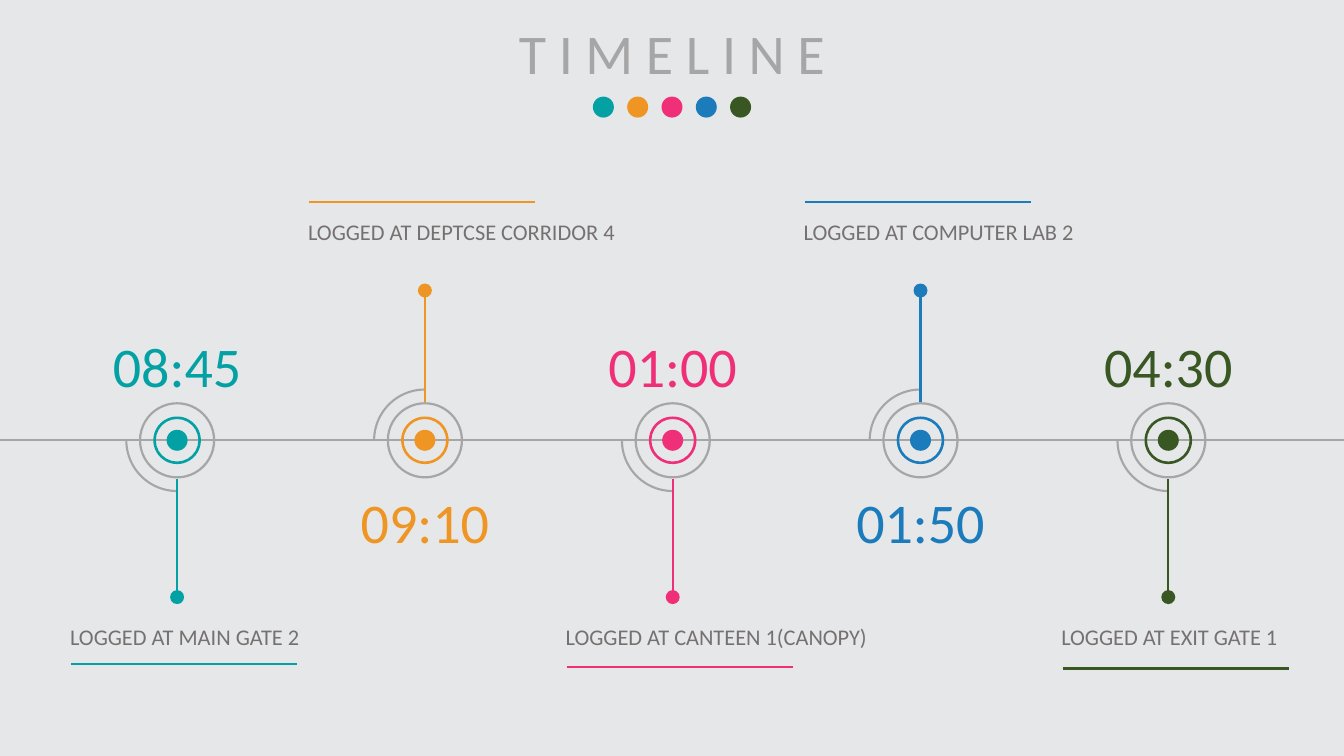
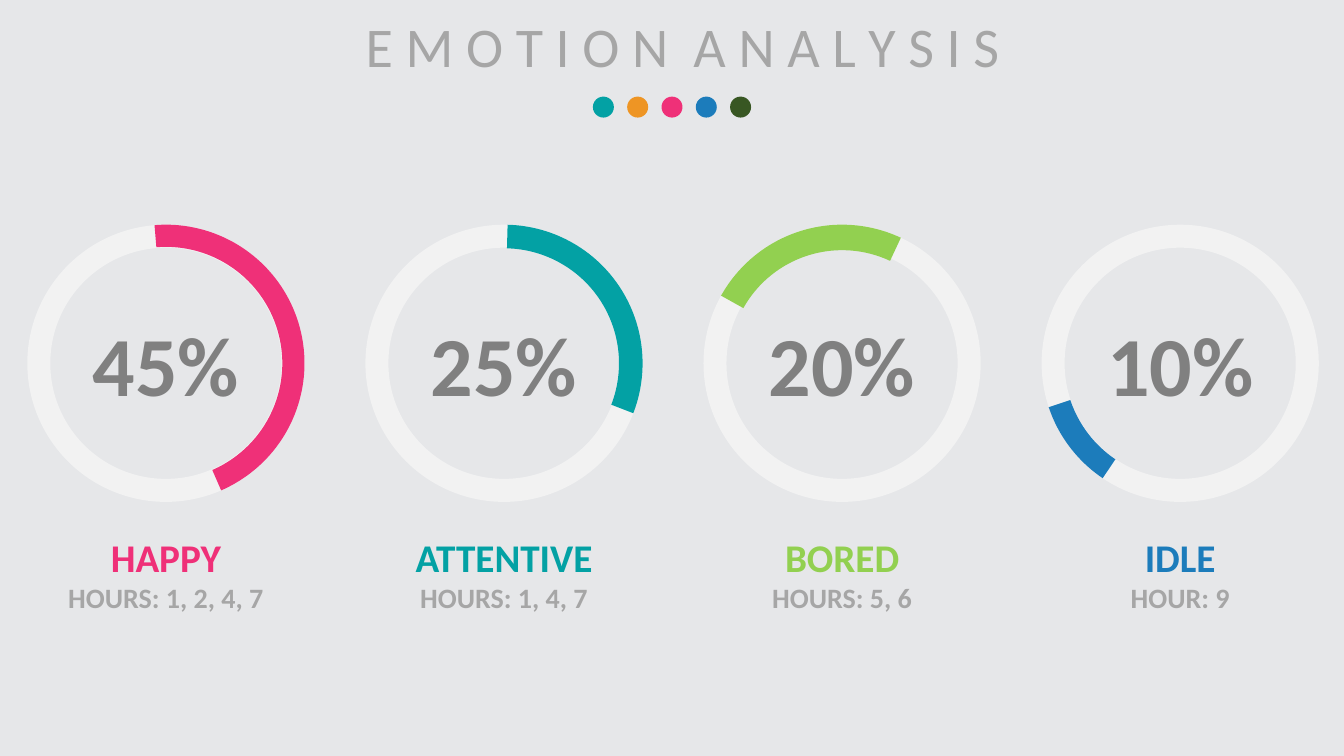
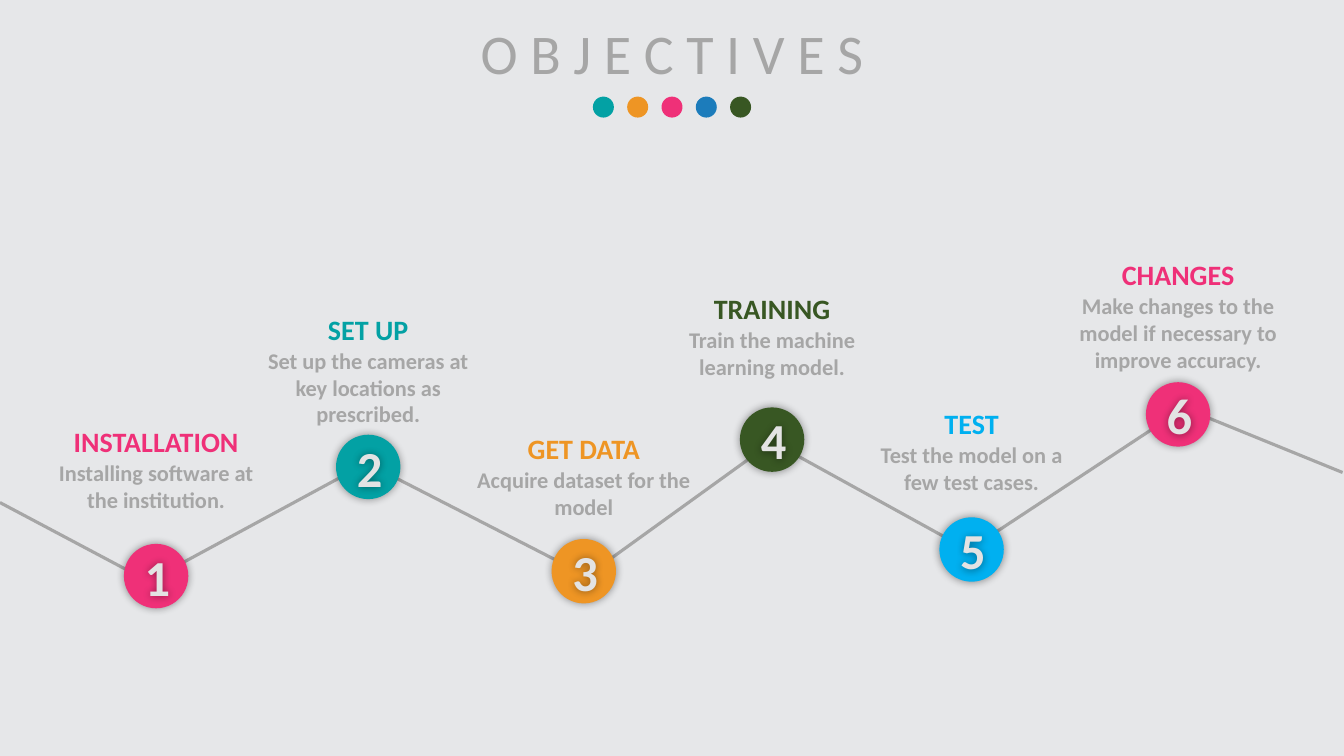
from lxml.etree import SubElement
from pptx import Presentation
from pptx.dml.color import RGBColor
from pptx.enum.shapes import MSO_CONNECTOR, MSO_SHAPE
from pptx.enum.text import MSO_AUTO_SIZE, PP_ALIGN
from pptx.oxml.ns import qn
from pptx.util import Pt

PAPER = RGBColor(0xE6, 0xE7, 0xE9)
TEAL = RGBColor(0x03, 0xA1, 0xA4)
ORANGE = RGBColor(0xEE, 0x95, 0x24)
PINK = RGBColor(0xEF, 0x30, 0x78)
BLUE = RGBColor(0x1C, 0x7C, 0xBB)
FOREST = RGBColor(0x38, 0x57, 0x23)
LIME = RGBColor(0x92, 0xD0, 0x50)
SKY = RGBColor(0x00, 0xB0, 0xF0)
SILVER = RGBColor(0xA6, 0xA6, 0xA6)
GRAY = RGBColor(0x80, 0x80, 0x80)
SLATE = RGBColor(0x76, 0x71, 0x71)
TRACK = RGBColor(0xF2, 0xF2, 0xF2)
NUMERAL = RGBColor(0xE3, 0xE3, 0xE3)
BLACK = RGBColor(0, 0, 0)

PALETTE = (TEAL, ORANGE, PINK, BLUE, FOREST)
FONT = "Calibri"
SLIDE_WIDTH, SLIDE_HEIGHT = 960, 540

# time, place, colour, height of the coloured rule
EVENTS = (
    ("08:45", "LOGGED AT MAIN GATE 2", TEAL, 474.5),
    ("09:10", "LOGGED AT DEPTCSE CORRIDOR 4", ORANGE, 144.5),
    ("01:00", "LOGGED AT CANTEEN 1(CANOPY)", PINK, 476.5),
    ("01:50", "LOGGED AT COMPUTER LAB 2", BLUE, 144.5),
    ("04:30", "LOGGED AT EXIT GATE 1", FOREST, 477.5),
)

# share, emotion, hours, colour, start and end angle, ring thickness
EMOTIONS = (
    ("45%", "HAPPY", "HOURS: 1, 2, 4, 7", PINK, 265.3, 66.5, 0.08),
    ("25%", "ATTENTIVE", "HOURS: 1, 4, 7", TEAL, 271.5, 21.1, 0.085),
    ("20%", "BORED", "HOURS: 5, 6", LIME, 209.2, 295.1, 0.092),
    ("10%", "IDLE", "HOUR: 9", BLUE, 124, 161.5, 0.082),
)

# heading, body, colour, node centre x and y, heading top
OBJECTIVES = (
    ("INSTALLATION", "Installing software at the institution.", PINK, 111.5, 411.5, 300),
    ("SET UP", "Set up the cameras at key locations as prescribed.",
     TEAL, 263, 333.5, 219.5),
    ("GET DATA", "Acquire dataset for the model", ORANGE, 417, 408, 304.5),
    ("TRAINING", "Train the machine learning model.", FOREST, 551.5, 314, 205),
    ("TEST", "Test the model on a few test cases.", SKY, 694, 392.5, 287),
    ("CHANGES", "Make changes to the model if necessary to improve accuracy.",
     PINK, 841.5, 296, 180.5),
)

LINKS = (
    (0, 359, 106.5, 415.5),
    (117.5, 409, 257, 333.5),
    (280, 340, 414.5, 409),
    (422.5, 409, 546.5, 319.5),
    (549.5, 314.5, 691, 392.5),
    (704, 385, 836, 298),
    (857, 296, 959, 337.5),
)


def add_text(slide, text, left, top, width, height, *, size, color,
             bold=False, align=PP_ALIGN.CENTER):
    box = slide.shapes.add_textbox(Pt(left), Pt(top), Pt(width), Pt(height))
    frame = box.text_frame
    frame.word_wrap = True
    frame.auto_size = MSO_AUTO_SIZE.SHAPE_TO_FIT_TEXT
    paragraph = frame.paragraphs[0]
    paragraph.alignment = align
    run = paragraph.add_run()
    run.text = text
    run.font.name = FONT
    run.font.size = Pt(size)
    run.font.bold = bold
    run.font.color.rgb = color
    return box


def add_round(slide, preset, center_x, center_y, diameter, *, fill=None,
              line=None, adjustments=()):
    """Add a circular preset shape around its centre."""
    shape = slide.shapes.add_shape(
        preset, Pt(center_x - diameter / 2), Pt(center_y - diameter / 2),
        Pt(diameter), Pt(diameter))
    shape.shadow.inherit = False
    for index, value in enumerate(adjustments):
        shape.adjustments[index] = value
    if fill is None:
        shape.fill.background()
    else:
        shape.fill.solid()
        shape.fill.fore_color.rgb = fill
    if line is None:
        shape.line.fill.background()
    else:
        shape.line.color.rgb = line
        shape.line.width = Pt(1.5)
    return shape


def add_line(slide, x1, y1, x2, y2, color, width=1.5):
    line = slide.shapes.add_connector(
        MSO_CONNECTOR.STRAIGHT, Pt(x1), Pt(y1), Pt(x2), Pt(y2))
    line.line.color.rgb = color
    line.line.width = Pt(width)
    SubElement(line._element.spPr, qn("a:effectLst"))


def add_glow_shadow(shape):
    """Give the shape a soft black shadow without offset."""
    shape.shadow.inherit = False
    effects = shape._element.spPr.find(qn("a:effectLst"))
    shadow = SubElement(effects, qn("a:outerShdw"), blurRad=str(Pt(6)),
                        dist="0", dir="0", algn="ctr", rotWithShape="0")
    color = SubElement(shadow, qn("a:srgbClr"), val=str(BLACK))
    SubElement(color, qn("a:alpha"), val="40000")


def angle(degrees):
    """Convert degrees to the unit of a shape adjustment."""
    return degrees * 60000 / 100000


def add_titled_slide(prs, title, left=193.5, top=10):
    slide = prs.slides.add_slide(prs.slide_layouts[6])
    add_text(slide, title, left, top, 573, 55.5, size=40, color=SILVER)
    for index, color in enumerate(PALETTE):
        add_round(slide, MSO_SHAPE.OVAL, 431 + 24.5 * index, 76.5, 15, fill=color)
    return slide


def add_event(slide, center_x, axis_y, time, place, color, rule_y):
    hangs_down = rule_y > axis_y
    if hangs_down:
        side, arc_start, tip, time_top, label_top, label_dx = 1, 90, 112, -81, 127, -83.5
    else:
        side, arc_start, tip, time_top, label_top, label_dx = -1, 180, -107, 30.5, -162.5, -90.5

    add_round(slide, MSO_SHAPE.ARC, center_x, axis_y, 72.5, line=SILVER,
              adjustments=(angle(arc_start), angle(arc_start + 91)))
    add_round(slide, MSO_SHAPE.OVAL, center_x, axis_y, 15, fill=color)
    add_round(slide, MSO_SHAPE.DONUT, center_x, axis_y, 34, fill=color,
              adjustments=(0.053,))
    add_round(slide, MSO_SHAPE.DONUT, center_x, axis_y, 54.5, fill=SILVER,
              adjustments=(0.029,))
    add_line(slide, center_x, axis_y + side * 108.5, center_x,
             axis_y + side * 27.5, color)
    add_round(slide, MSO_SHAPE.OVAL, center_x, axis_y + tip, 10, fill=color)
    add_text(slide, time, center_x - 60, axis_y + time_top, 120, 55.5,
             size=40, color=color)
    label_left = center_x + label_dx
    add_text(slide, place, label_left, axis_y + label_top, 252, 26.5,
             size=16, color=SLATE, align=PP_ALIGN.LEFT)
    add_line(slide, label_left + 8, rule_y, label_left + 169.5, rule_y, color)


def add_emotion(slide, center_x, share, emotion, hours, color, start, end, thickness):
    center_y, diameter = 259.5, 198
    add_round(slide, MSO_SHAPE.DONUT, center_x, center_y, diameter, fill=TRACK,
              adjustments=(0.083,))
    add_round(slide, MSO_SHAPE.BLOCK_ARC, center_x, center_y, diameter, fill=color,
              adjustments=(angle(start), angle(end), thickness))
    for text, top, height, size, text_color in (
            (share, 219.5, 80, 60, GRAY),
            (emotion, 377.5, 41, 28, color),
            (hours, 411, 31.5, 20, SILVER)):
        add_text(slide, text, center_x - diameter / 2, top, diameter, height,
                 size=size, color=text_color, bold=True)


def add_objective(slide, number, heading, body, color, center_x, center_y, top):
    node = add_round(slide, MSO_SHAPE.OVAL, center_x, center_y, 46, fill=color)
    add_glow_shadow(node)
    numeral = add_text(slide, str(number), center_x - 22, center_y - 25, 46, 51,
                       size=36, color=NUMERAL, bold=True)
    add_glow_shadow(numeral)
    left, width = center_x - 84, 168
    add_text(slide, heading, left, top, width, 31.5, size=20, color=color, bold=True)
    add_text(slide, body, left, top + 24.7, width, 46, size=16, color=SILVER, bold=True)


def build_timeline(prs):
    slide = add_titled_slide(prs, "T I M E L I N E")
    axis_y = 314.5
    add_line(slide, 0, axis_y, SLIDE_WIDTH, axis_y, SILVER)
    for index, event in enumerate(EVENTS):
        add_event(slide, 126.5 + 177 * index, axis_y, *event)


def build_emotions(prs):
    slide = add_titled_slide(prs, "E M O T I O N  A N A L Y S I S", left=201, top=5)
    for index, emotion in enumerate(EMOTIONS):
        add_emotion(slide, 118.5 + 241.5 * index, *emotion)


def build_objectives(prs):
    slide = add_titled_slide(prs, "O B J E C T I V E S")
    for link in LINKS:
        add_line(slide, *link, SILVER, width=2.25)
    for number, objective in enumerate(OBJECTIVES, start=1):
        add_objective(slide, number, *objective)


def main():
    prs = Presentation()
    prs.slide_width, prs.slide_height = Pt(SLIDE_WIDTH), Pt(SLIDE_HEIGHT)
    background = prs.slide_master.background.fill
    background.solid()
    background.fore_color.rgb = PAPER
    build_timeline(prs)
    build_emotions(prs)
    build_objectives(prs)
    prs.save("out.pptx")


if __name__ == "__main__":
    main()
